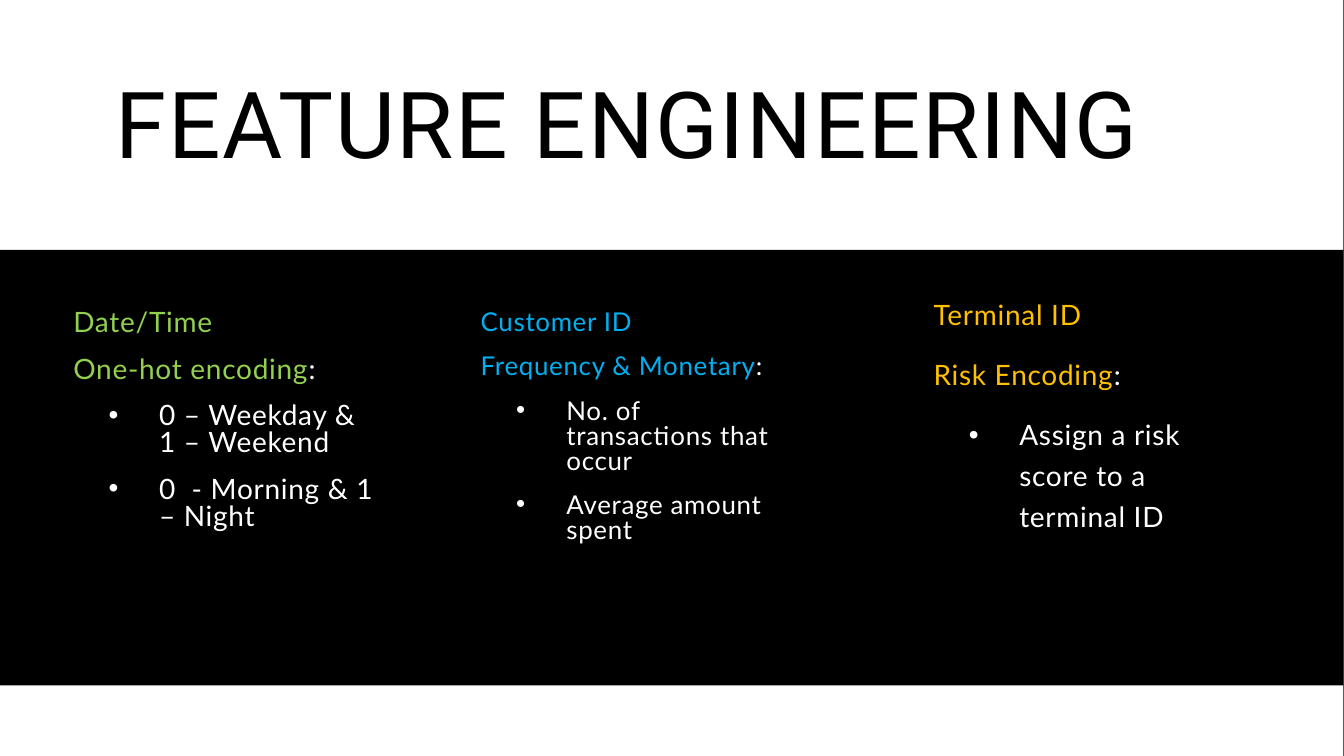
import dataclasses

import pptx
import pptx.dml.color
import pptx.enum.shapes
import pptx.enum.text
import pptx.oxml.ns
import pptx.util
from lxml import etree

Pt = pptx.util.Pt


@dataclasses.dataclass(frozen=True)
class Theme:
    """Hold the colours, fonts and type sizes of the slide."""
    white: str = "FFFFFF"
    black: str = "000000"
    green: str = "92D050"
    blue: str = "00B0F0"
    amber: str = "FFC000"
    head: str = "Roboto"
    body: str = "Lato"
    dot: str = "Arial"
    title: float = 66
    text: float = 20
    small: float = 18.5


theme = Theme()


def paint(fill, tone):
    """Make a fill solid in the given colour."""
    fill.solid()
    fill.fore_color.rgb = pptx.dml.color.RGBColor.from_string(tone)


def write(para, text, *, tone, size, font=theme.body, track=0.5,
          lead=0.8, gap=7, bullet=False):
    """Add a run of text to a paragraph and format both."""
    para.alignment = pptx.enum.text.PP_ALIGN.LEFT
    para.line_spacing = lead
    para.space_before = para.space_after = Pt(gap)
    run = para.add_run()
    run.text = text
    run.font.name = font
    run.font.size = Pt(size)
    run.font.bold = False
    paint(run.font.fill, tone)
    run.font._element.set("spc", str(int(track * 100)))
    if bullet:
        props = para._p.get_or_add_pPr()
        props.set("marL", str(Pt(61.2)))
        props.set("indent", str(Pt(-36)))
        for tag, key, value in (("a:buFont", "typeface", theme.dot),
                                ("a:buChar", "char", "•")):
            etree.SubElement(props, pptx.oxml.ns.qn(tag)).set(key, value)


def place(shape, box):
    """Move a shape to a box of left, top, width and height in points."""
    shape.left, shape.top, shape.width, shape.height = map(Pt, box)


def header(slide, box, text):
    """Set the slide title in its box, in front of the panels."""
    title = slide.shapes.title
    slide.shapes._spTree.append(title._element)
    place(title, box)
    frame = title.text_frame
    frame.word_wrap = True
    frame.auto_size = pptx.enum.text.MSO_AUTO_SIZE.NONE
    frame.vertical_anchor = pptx.enum.text.MSO_ANCHOR.MIDDLE
    write(frame.paragraphs[0], text, tone=theme.black, size=theme.title,
          font=theme.head, track=1.2, lead=0.9, gap=0)


def panel(slide, box, tone):
    """Draw a plain panel that fills the box."""
    kind = pptx.enum.shapes.MSO_SHAPE.RECTANGLE
    shape = slide.shapes.add_shape(kind, *map(Pt, box))
    shape.shadow.inherit = False
    shape.line.fill.background()
    paint(shape.fill, tone)


def column(slide, box, field, method, items, tone, size, lead):
    """Write a field, its encoding and the bullets below in a box."""
    frame = slide.shapes.add_textbox(*map(Pt, box)).text_frame
    frame.word_wrap = True
    look = {"size": size, "lead": lead}
    write(frame.paragraphs[0], field, tone=tone, **look)
    para = frame.add_paragraph()
    write(para, method, tone=tone, **look)
    write(para, ":", tone=theme.white, **look)
    for item in items:
        write(frame.add_paragraph(), item, tone=theme.white, bullet=True, **look)


def main():
    """Build the slide and save it."""
    deck = pptx.Presentation()
    deck.slide_width, deck.slide_height = Pt(960), Pt(540)
    slide = deck.slides.add_slide(deck.slide_layouts.get_by_name("Title Only"))
    paint(slide.background.fill, theme.black)
    panel(slide, (0, 0, 959.7, 540), theme.white)
    header(slide, (75.6, 25.2, 808.6, 133.9), "FEATURE ENGINEERING")
    panel(slide, (0, 178.56, 959.7, 311), theme.black)
    wide = 231.84
    column(slide, (45.3, 218.9, wide, 205.2), "Date/Time", "One-hot encoding",
           ["0 – Weekday & 1 – Weekend", "0  - Morning & 1 – Night"],
           theme.green, theme.text, 0.8)
    column(slide, (659.8, 203.9, wide, 197.3), "Terminal ID", "Risk Encoding",
           ["Assign a risk score to a terminal ID"],
           theme.amber, theme.text, 1.21)
    column(slide, (336.3, 218.9, wide, 197.3), "Customer ID",
           "Frequency & Monetary",
           ["No. of transactions that occur", "Average amount spent"],
           theme.blue, theme.small, 0.8)
    deck.save("out.pptx")


if __name__ == "__main__":
    main()
